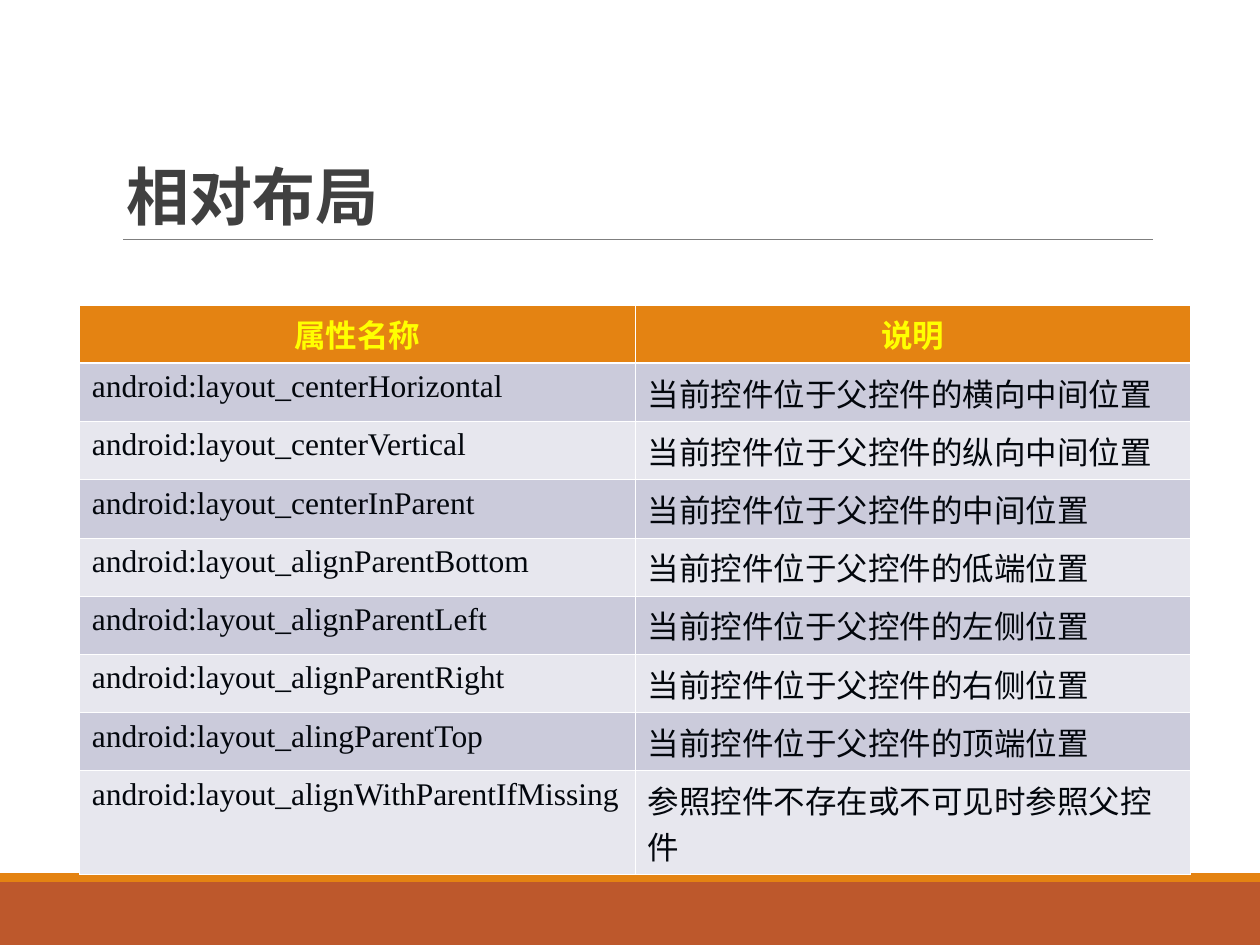
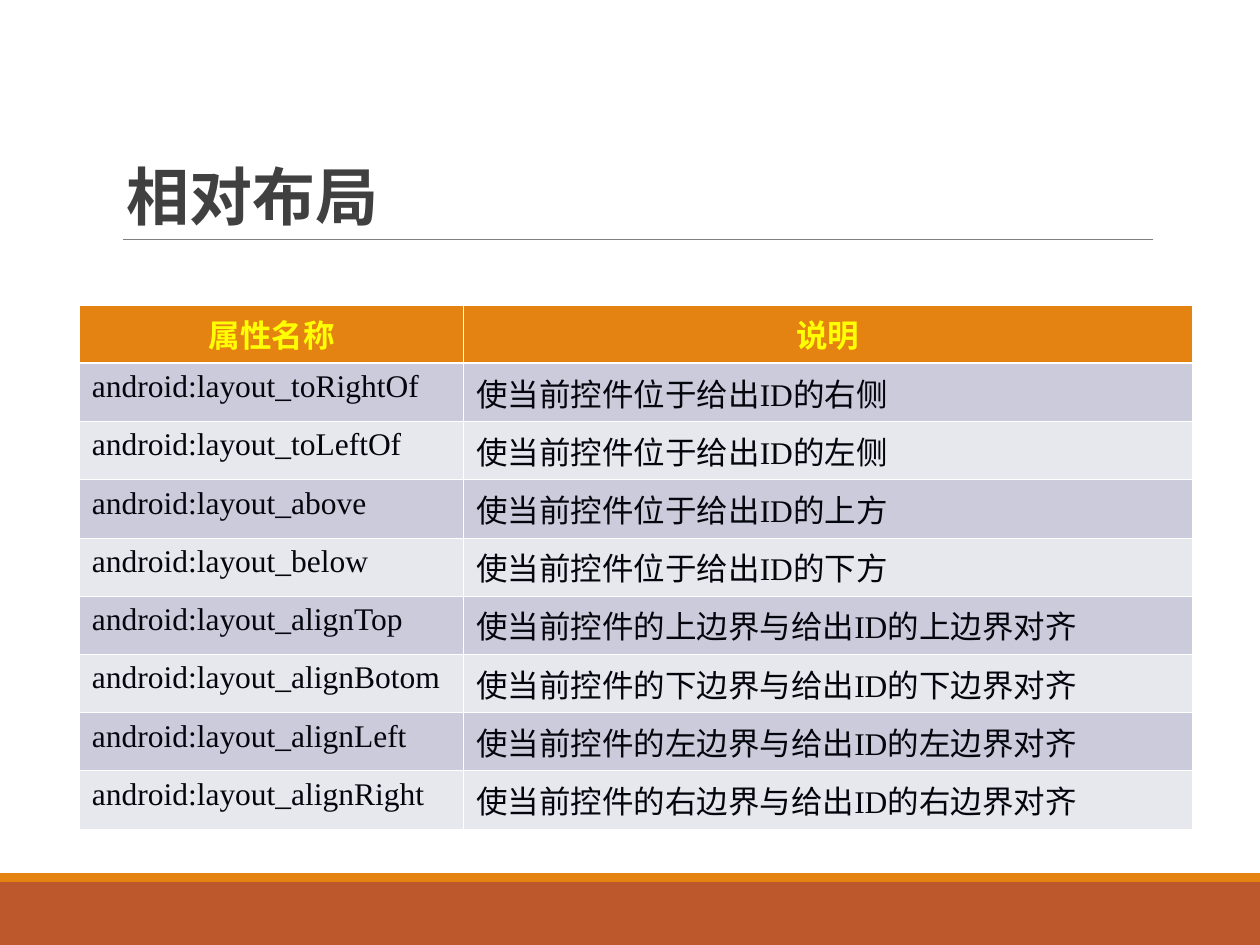
from lxml import etree
from pptx import Presentation
from pptx.dml.color import RGBColor
from pptx.enum.shapes import MSO_CONNECTOR, MSO_SHAPE
from pptx.enum.text import MSO_ANCHOR, MSO_AUTO_SIZE, PP_ALIGN
from pptx.oxml.ns import qn
from pptx.util import Inches, Pt

RECTANGLE, STRAIGHT = MSO_SHAPE.RECTANGLE, MSO_CONNECTOR.STRAIGHT
LEFT, CENTER = PP_ALIGN.LEFT, PP_ALIGN.CENTER
BOTTOM, NO_AUTOFIT = MSO_ANCHOR.BOTTOM, MSO_AUTO_SIZE.NONE

TITLE = "相对布局"
HEADER = ("属性名称", "说明")
PAGES = [
    {
        "column_widths": (4.41, 4.41),
        "last_row_height": 0.7,
        "rows": [
            ("android:layout_centerHorizontal", "当前控件位于父控件的横向中间位置"),
            ("android:layout_centerVertical", "当前控件位于父控件的纵向中间位置"),
            ("android:layout_centerInParent", "当前控件位于父控件的中间位置"),
            ("android:layout_alignParentBottom", "当前控件位于父控件的低端位置"),
            ("android:layout_alignParentLeft", "当前控件位于父控件的左侧位置"),
            ("android:layout_alignParentRight", "当前控件位于父控件的右侧位置"),
            ("android:layout_alingParentTop", "当前控件位于父控件的顶端位置"),
            ("android:layout_alignWithParentIfMissing", "参照控件不存在或不可见时参照父控件"),
        ],
    },
    {
        "column_widths": (3.05, 5.78),
        "last_row_height": 0.41,
        "rows": [
            ("android:layout_toRightOf", "使当前控件位于给出ID的右侧"),
            ("android:layout_toLeftOf", "使当前控件位于给出ID的左侧"),
            ("android:layout_above", "使当前控件位于给出ID的上方"),
            ("android:layout_below", "使当前控件位于给出ID的下方"),
            ("android:layout_alignTop", "使当前控件的上边界与给出ID的上边界对齐"),
            ("android:layout_alignBotom", "使当前控件的下边界与给出ID的下边界对齐"),
            ("android:layout_alignLeft", "使当前控件的左边界与给出ID的左边界对齐"),
            ("android:layout_alignRight", "使当前控件的右边界与给出ID的右边界对齐"),
        ],
    },
]

WHITE = RGBColor(0xFF, 0xFF, 0xFF)
RUST = RGBColor(0xBD, 0x58, 0x2C)
ORANGE = RGBColor(0xE4, 0x83, 0x12)
GREY = RGBColor(0x7F, 0x7F, 0x7F)
CHARCOAL = RGBColor(0x40, 0x40, 0x40)
YELLOW = RGBColor(0xFF, 0xFF, 0x00)
INK = RGBColor(0x03, 0x07, 0x0D)
ROW_FILLS = (RGBColor(0xCB, 0xCB, 0xDB), RGBColor(0xE7, 0xE7, 0xEE))

CHINESE_FONT = "Noto Sans CJK SC"
LATIN_FONT = "Times New Roman"
TITLE_FONT = {"name": CHINESE_FONT, "size": Pt(36), "bold": True}
HEADER_FONT = {"name": LATIN_FONT, "size": Pt(18), "bold": True}
BODY_FONT = {**HEADER_FONT, "bold": False}

BANDS = [(7, 0.5, RUST), (6.93, 0.07, ORANGE)]
TABLE_LEFT, TABLE_TOP, ROW_HEIGHT = 0.63, 2.42, 0.41
THIN, THICK = Pt(0.45), Pt(1.47)


def write_text(frame, text, font_format, color, alignment):
    para = frame.paragraphs[0]
    para.alignment = alignment
    span = para.add_run()
    span.text = text
    for name, value in font_format.items():
        setattr(span.font, name, value)
    span.font.color.rgb = color
    properties = span.font._element
    etree.SubElement(properties, qn("a:ea"), typeface=CHINESE_FONT)
    return para


def add_bands(page):
    for top, height, color in BANDS:
        band = page.shapes.add_shape(
            RECTANGLE, 0, Inches(top), Inches(10), Inches(height))
        band.shadow.inherit = False
        band.fill.solid()
        band.fill.fore_color.rgb = color
        band.line.fill.background()


def add_title_rule(page):
    rule = page.shapes.add_connector(
        STRAIGHT, Inches(0.98), Inches(1.9), Inches(9.15), Inches(1.9))
    rule.line.color.rgb = GREY
    rule.line.width = Pt(0.5)
    etree.SubElement(rule._element.spPr, qn("a:effectLst"))


def set_title(page):
    title = page.shapes.title
    place = {"left": 0.9, "top": 0.31, "width": 8.25, "height": 1.59}
    for name, value in place.items():
        setattr(title, name, Inches(value))
    frame = title.text_frame
    frame.auto_size = NO_AUTOFIT
    frame.vertical_anchor = BOTTOM
    para = write_text(frame, TITLE, TITLE_FONT, CHARCOAL, LEFT)
    para.line_spacing = 0.85


def set_borders(cell, top, bottom):
    """Draw white cell borders; call before filling, as the schema orders them."""
    properties = cell._tc.get_or_add_tcPr()
    for side, width in (("L", THIN), ("R", THIN), ("T", top), ("B", bottom)):
        border = etree.SubElement(properties, qn(f"a:ln{side}"), w=str(width))
        fill = etree.SubElement(border, qn("a:solidFill"))
        etree.SubElement(fill, qn("a:srgbClr"), val=str(WHITE))


def add_attribute_table(page, column_widths, last_row_height, rows):
    lines = [HEADER, *rows]
    heights = [ROW_HEIGHT] * len(rows) + [last_row_height]
    table = page.shapes.add_table(
        len(lines), len(HEADER), Inches(TABLE_LEFT), Inches(TABLE_TOP),
        Inches(sum(column_widths)), Inches(sum(heights))).table
    for column, width in zip(table.columns, column_widths):
        column.width = Inches(width)
    for row, height in zip(table.rows, heights):
        row.height = Inches(height)

    for row_index, line in enumerate(lines):
        is_header = row_index == 0
        fill = ORANGE if is_header else ROW_FILLS[(row_index - 1) % 2]
        style = (HEADER_FONT, YELLOW, CENTER) if is_header else (BODY_FONT, INK, LEFT)
        for column_index, text in enumerate(line):
            cell = table.cell(row_index, column_index)
            set_borders(cell, top=THICK if row_index == 1 else THIN,
                        bottom=THICK if is_header else THIN)
            cell.fill.solid()
            cell.fill.fore_color.rgb = fill
            write_text(cell.text_frame, text, *style)


def main():
    deck = Presentation()
    deck.slide_width, deck.slide_height = Inches(10), Inches(7.5)
    title_only = deck.slide_layouts[5]
    for content in PAGES:
        page = deck.slides.add_slide(title_only)
        add_bands(page)
        add_title_rule(page)
        set_title(page)
        add_attribute_table(page, **content)
    deck.save("out.pptx")


if __name__ == "__main__":
    main()
